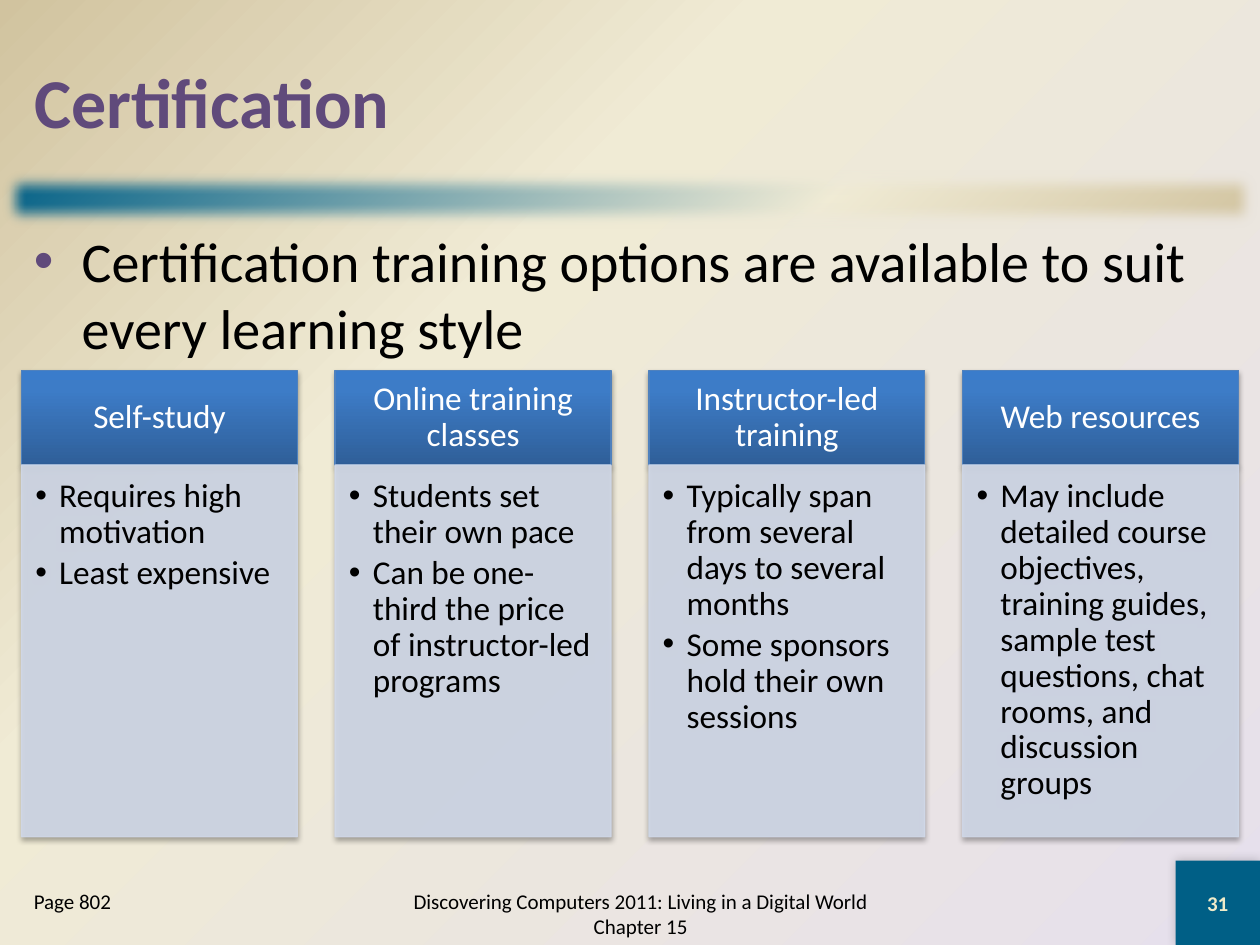
from dataclasses import dataclass

from pptx import Presentation
from pptx.dml.color import RGBColor
from pptx.enum.shapes import MSO_SHAPE
from pptx.enum.text import MSO_ANCHOR as Anchor, MSO_AUTO_SIZE as AutoSize, PP_ALIGN as Align
from pptx.oxml import parse_xml
from pptx.oxml.ns import nsdecls
from pptx.util import Inches, Pt

FONT = "Calibri"
PURPLE, TEAL, CREAM, TAN = "604A7B", "005F86", "F0EBD5", "D1C39F"
LAVENDER, PANEL, BLUE = "E6E0EC", "D0D8E8", "4F81BD"
BLACK, WHITE = "000000", "FFFFFF"
HEADER_STOPS = [(0, "2F5F99"), (80, "3D7CC7"), (100, "3A7CCB")]

LEFT, COLUMN_WIDTH, COLUMN_STEP = 0.17, 2.19, 2.49
HEADER_TOP, HEADER_HEIGHT, PANEL_HEIGHT = 2.94, 0.75, 2.95


@dataclass
class Box:
    left: float
    top: float
    width: float
    height: float

    def lengths(self) -> list:
        return [Inches(v) for v in (self.left, self.top, self.width, self.height)]


@dataclass
class Column:
    heading: str
    points: list[str]


COLUMNS = [
    Column("Self-study", ["Requires high motivation", "Least expensive"]),
    Column("Online training classes", [
        "Students set their own pace",
        "Can be one-third the price of instructor-led programs"]),
    Column("Instructor-led training", [
        "Typically span from several days to several months",
        "Some sponsors hold their own sessions"]),
    Column("Web resources", [
        "May include detailed course objectives, training guides, sample test "
        "questions, chat rooms, and discussion groups"]),
]


def color(value: str) -> RGBColor:
    return RGBColor.from_string(value)


def set_gradient(holder, stops: list, direction: str) -> None:
    """Swap the solid fill of a properties element for a gradient."""
    stop_xml = "".join(
        f'<a:gs pos="{position * 1000}"><a:srgbClr val="{value}"/></a:gs>'
        for position, value in stops)
    gradient = parse_xml(f'<a:gradFill {nsdecls("a")} rotWithShape="1">'
                         f"<a:gsLst>{stop_xml}</a:gsLst>{direction}</a:gradFill>")
    holder.replace(holder.xpath("./a:solidFill")[0], gradient)


def linear(angle: int) -> str:
    return f'<a:lin ang="{angle * 60000}" scaled="0"/>'


def add_effect(shape, xml: str) -> None:
    shape.element.spPr.xpath("./a:effectLst")[0].append(parse_xml(xml))


def add_shadow(shape, opacity: int, blur: float, distance: float, angle: int) -> None:
    add_effect(shape, f'<a:outerShdw {nsdecls("a")} blurRad="{Pt(blur)}" '
                      f'dist="{Pt(distance)}" dir="{angle * 60000}" rotWithShape="0">'
                      f'<a:srgbClr val="{BLACK}"><a:alpha val="{opacity * 1000}"/>'
                      "</a:srgbClr></a:outerShdw>")


def add_rectangle(slide, box: Box, fill: str, line: str | None = None):
    shape = slide.shapes.add_shape(MSO_SHAPE.RECTANGLE, *box.lengths())
    shape.shadow.inherit = False
    shape.fill.solid()
    shape.fill.fore_color.rgb = color(fill)
    if line:
        shape.line.color.rgb = color(line)
        shape.line.width = Pt(0.75)
    else:
        shape.line.fill.background()
    return shape


def write(shape, texts: list[str], size: float, text_color: str, bold: bool = False,
          align=Align.LEFT, anchor=Anchor.TOP, insets=(0.1, 0.05, 0.1, 0.05),
          bullet_indent: float = 0, bullet_color: str = BLACK, **spacing) -> None:
    """Fill a shape with paragraphs; spacing holds paragraph attributes."""
    frame = shape.text_frame
    frame.text = "\n".join(texts)
    frame_format = {"word_wrap": True, "auto_size": AutoSize.NONE,
                    "vertical_anchor": anchor}
    for side, inset in zip(("left", "top", "right", "bottom"), insets):
        frame_format[f"margin_{side}"] = Inches(inset)
    for name, value in frame_format.items():
        setattr(frame, name, value)

    font_format = {"name": FONT, "size": Pt(size), "bold": bold}
    for paragraph in frame.paragraphs:
        for name, value in {"alignment": align, **spacing}.items():
            setattr(paragraph, name, value)
        if bullet_indent:
            properties = paragraph._p.get_or_add_pPr()
            properties.set("marL", str(Inches(bullet_indent)))
            properties.set("indent", str(-Inches(bullet_indent)))
            for xml in (f'<a:buClr {nsdecls("a")}><a:srgbClr val="{bullet_color}"/></a:buClr>',
                        f'<a:buFont {nsdecls("a")} typeface="Arial"/>',
                        f'<a:buChar {nsdecls("a")} char="•"/>'):
                properties.append(parse_xml(xml))
        for run in paragraph.runs:
            for name, value in font_format.items():
                setattr(run.font, name, value)
            run.font.color.rgb = color(text_color)


def add_text(slide, box: Box, text: str, size: float, text_color: str, **options) -> None:
    write(slide.shapes.add_textbox(*box.lengths()), [text], size, text_color, **options)


def add_column(slide, left: float, column: Column) -> None:
    header = add_rectangle(
        slide, Box(left, HEADER_TOP, COLUMN_WIDTH, HEADER_HEIGHT), BLUE, BLUE)
    set_gradient(header.element.spPr, HEADER_STOPS, linear(270))
    write(header, [column.heading], 19, WHITE, align=Align.CENTER, anchor=Anchor.MIDDLE,
          insets=(0.15, 0.08, 0.15, 0.08), line_spacing=0.9)

    panel = add_rectangle(
        slide, Box(left, HEADER_TOP + HEADER_HEIGHT, COLUMN_WIDTH, PANEL_HEIGHT), PANEL, PANEL)
    for element in panel.element.spPr.xpath(".//a:srgbClr"):
        element.append(parse_xml(f'<a:alpha {nsdecls("a")} val="90000"/>'))
    write(panel, column.points, 19, BLACK, insets=(0.11, 0.11, 0.15, 0.17),
          bullet_indent=0.19, line_spacing=0.9, space_after=Pt(2.85))
    for shape in (header, panel):
        add_shadow(shape, 35, 3.1, 1.8, 90)


def main() -> None:
    presentation = Presentation()
    presentation.slide_width, presentation.slide_height = Inches(10), Inches(7.5)
    slide = presentation.slides.add_slide(presentation.slide_layouts[5])

    # Background
    slide.background.fill.solid()
    set_gradient(slide.element.xpath(".//p:bgPr")[0],
                 [(0, LAVENDER), (65, CREAM), (100, TAN)],
                 '<a:path path="circle"><a:fillToRect l="100000" t="100000"/></a:path>')

    # Soft divider bar and page number square
    bar = add_rectangle(slide, Box(0, 1.33, 10, 0.5), TEAL)
    set_gradient(bar.element.spPr, [(0, TEAL), (65, CREAM), (100, TAN)], linear(45))
    add_effect(bar, f'<a:softEdge {nsdecls("a")} rad="{Inches(0.12)}"/>')
    square = add_rectangle(slide, Box(9.33, 6.83, 0.67, 0.67), TEAL)
    add_shadow(square, 20, 6, 0, 225)
    write(square, ["31"], 12, "EEEBCA", bold=True, align=Align.CENTER, anchor=Anchor.MIDDLE)

    # Title and lead bullet
    title = slide.shapes.title
    title.left, title.top, title.width, title.height = Box(LEFT, 0.17, 9.67, 1.25).lengths()
    write(title, ["Certification"], 40, PURPLE, bold=True, anchor=Anchor.MIDDLE)
    add_text(slide, Box(LEFT, 1.75, 9.67, 1.19),
             "Certification training options are available to suit every learning style",
             32, BLACK, bullet_indent=0.38, bullet_color=PURPLE)

    # Training options
    for index, column in enumerate(COLUMNS):
        add_column(slide, LEFT + index * COLUMN_STEP, column)

    # Footer
    add_text(slide, Box(LEFT, 7, 1.83, 0.5), "Page 802", 12, BLACK)
    add_text(slide, Box(3, 7, 4.17, 0.5),
             "Discovering Computers 2011: Living in a Digital World Chapter 15",
             12, BLACK, align=Align.CENTER, anchor=Anchor.MIDDLE)

    presentation.save("out.pptx")


if __name__ == "__main__":
    main()
